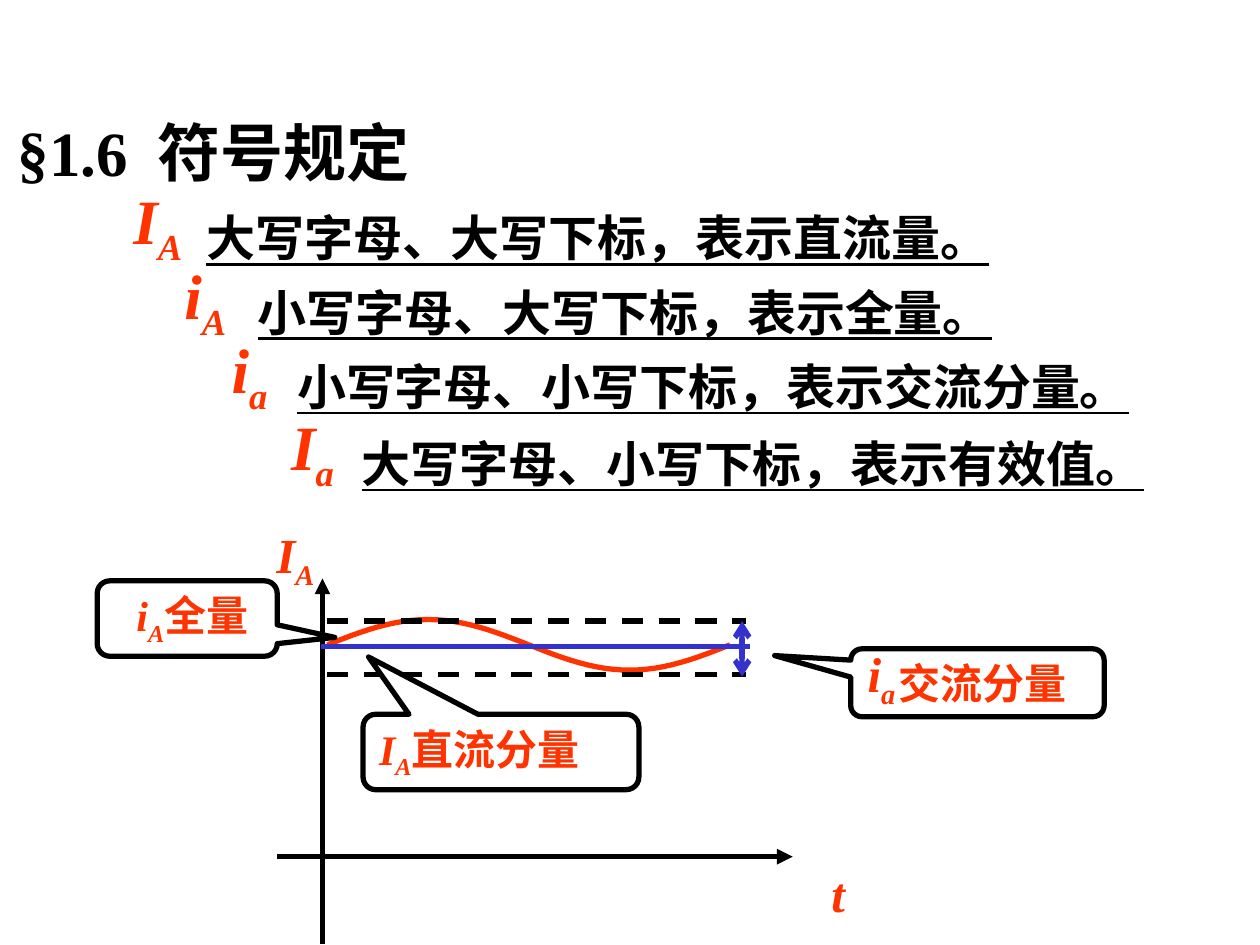
import math
from dataclasses import dataclass

import pptx
import pptx.util
from pptx.dml.color import RGBColor
from pptx.enum.dml import MSO_LINE
from pptx.enum.shapes import MSO_CONNECTOR, MSO_SHAPE
from pptx.enum.text import MSO_ANCHOR, MSO_AUTO_SIZE, PP_ALIGN
from pptx.oxml.ns import qn
from lxml import etree

Cm = pptx.util.Cm
Pt = pptx.util.Pt


@dataclass(frozen=True)
class Theme:
    font: str = "Times New Roman"
    ink: RGBColor = RGBColor(0x00, 0x00, 0x00)
    accent: RGBColor = RGBColor(0xFF, 0x33, 0x00)
    blue: RGBColor = RGBColor(0x33, 0x33, 0xCC)
    paper: RGBColor = RGBColor(0xFF, 0xFF, 0xFF)
    heading: int = 36
    body: int = 28
    callout: int = 24
    line: int = 3


THEME = Theme()


# Text helpers
def style_paragraph(paragraph, size, color, alignment=PP_ALIGN.LEFT):
    paragraph.alignment = alignment
    paragraph.font.name = THEME.font
    paragraph.font.size = Pt(size)
    paragraph.font.bold = True
    paragraph.font.color.rgb = color


def add_symbol(paragraph, letter, subscript):
    for text, baseline in ((letter, None), (subscript, "-25000")):
        if text:
            run = paragraph.add_run()
            run.text = text
            run.font.italic = True
            if baseline:
                run._r.get_or_add_rPr().set("baseline", baseline)


def add_text_box(slide, left, top, width, height, wrap):
    text_box = slide.shapes.add_textbox(Cm(left), Cm(top), Cm(width), Cm(height))
    frame = text_box.text_frame
    frame.word_wrap = wrap
    frame.vertical_anchor = MSO_ANCHOR.MIDDLE
    return frame.paragraphs[0]


def add_symbol_label(slide, left, top, width, height, letter, subscript, size):
    paragraph = add_text_box(slide, left, top, width, height, wrap=False)
    style_paragraph(paragraph, size, THEME.accent, PP_ALIGN.CENTER)
    add_symbol(paragraph, letter, subscript)


# Line helper
def add_line(slide, start, end, color, head=None, tail=None, dashed=False):
    connector = slide.shapes.add_connector(
        MSO_CONNECTOR.STRAIGHT, *(Cm(value) for value in (*start, *end)))
    connector.line.color.rgb = color
    connector.line.width = Pt(THEME.line)
    if dashed:
        connector.line.dash_style = MSO_LINE.DASH
    line_element = connector.line._get_or_add_ln()
    for tag, arrow in (("a:headEnd", head), ("a:tailEnd", tail)):
        if arrow:
            etree.SubElement(line_element, qn(tag)).set("type", arrow)
    etree.SubElement(connector._element.spPr, qn("a:effectLst"))


# Section heading
def build_title(slide, left, top, width, height):
    title = slide.shapes.title
    title.left, title.top, title.width, title.height = (
        Cm(value) for value in (left, top, width, height))
    frame = title.text_frame
    frame.auto_size = MSO_AUTO_SIZE.NONE
    frame.vertical_anchor = MSO_ANCHOR.TOP
    frame.text = "§1.6\t符号规定"
    paragraph = frame.paragraphs[0]
    paragraph.line_spacing = 0.6
    tab_list = etree.SubElement(paragraph._p.get_or_add_pPr(), qn("a:tabLst"))
    etree.SubElement(tab_list, qn("a:tab"), pos=str(Cm(2.82)), algn="l")
    style_paragraph(paragraph, THEME.heading, THEME.ink)


# One rule: symbol on the left, underlined meaning beside it
def build_rule(slide, left, top, letter, subscript, meaning, offset, width):
    add_symbol_label(slide, left, top, 2.54, 2.01, letter, subscript, THEME.heading)
    paragraph = add_text_box(slide, left + offset, top + 0.53, width, 1.45, wrap=True)
    paragraph.text = meaning
    style_paragraph(paragraph, THEME.body, THEME.ink)
    paragraph.font.underline = True


def build_wave(slide, left, middle, half_width, amplitude):
    steps = 24
    for half in range(2):
        points = [
            (Cm(left + half_width * step / steps),
             Cm(middle - amplitude * math.sin(math.pi * step / steps)))
            for step in range(half * steps, (half + 1) * steps + 1)
        ]
        builder = slide.shapes.build_freeform(*points[0])
        builder.add_line_segments(points[1:], close=False)
        wave = builder.convert_to_shape()
        wave.shadow.inherit = False
        wave.fill.background()
        wave.line.color.rgb = THEME.accent
        wave.line.width = Pt(THEME.line)


# Graph: axes, wave, limits and mean
def build_graph(slide, left, top, width, height):
    axis_x, axis_y = left + 0.91, top + 5.61
    wave_left, mean = left + 1.01, top + 1.37
    upper, lower = top + 0.86, top + 1.93
    span = left + 9.37

    add_line(slide, (left, axis_y), (left + width, axis_y), THEME.ink, tail="triangle")
    add_line(slide, (axis_x, top), (axis_x, top + height), THEME.ink, head="triangle")
    build_wave(slide, wave_left, top + 1.34, 4.06, 0.51)
    for limit in (upper, lower):
        add_line(slide, (wave_left, limit), (left + 9.45, limit), THEME.ink, dashed=True)
    add_line(slide, (left + 0.89, mean), (left + 9.52, mean), THEME.blue)
    add_line(slide, (span, upper), (span, top + 1.98), THEME.blue,
             head="arrow", tail="arrow")

    add_symbol_label(slide, left - 0.69, top - 1.22, 2.11, 1.6, "I", "A", THEME.body)
    add_symbol_label(slide, left + 10.92, axis_y, 0.74, 1.45, "t", "", THEME.body)


# Callout with an optional symbol before its name
def build_callout(slide, left, top, width, height, pointer, letter, subscript, name,
                  alignment=PP_ALIGN.CENTER, inset=0.46):
    callout = slide.shapes.add_shape(
        MSO_SHAPE.ROUNDED_RECTANGULAR_CALLOUT,
        Cm(left), Cm(top), Cm(width), Cm(height))
    callout.adjustments[0], callout.adjustments[1] = pointer
    callout.shadow.inherit = False
    callout.fill.solid()
    callout.fill.fore_color.rgb = THEME.paper
    callout.line.color.rgb = THEME.ink
    callout.line.width = Pt(THEME.line)
    frame = callout.text_frame
    frame.margin_left = Cm(inset)
    frame.vertical_anchor = MSO_ANCHOR.MIDDLE
    paragraph = frame.paragraphs[0]
    style_paragraph(paragraph, THEME.callout, THEME.accent, alignment)
    add_symbol(paragraph, letter, subscript)
    paragraph.add_run().text = name


def main():
    presentation = pptx.Presentation()
    presentation.slide_width, presentation.slide_height = Cm(25.4), Cm(19.05)
    slide = presentation.slides.add_slide(presentation.slide_layouts[5])

    build_title(slide, 0.1, 2.69, 12.98, 1.17)
    rules = (
        (1.91, 3.53, "I", "A", "大写字母、大写下标，表示直流量。", 2.0, 16.92),
        (2.87, 5.03, "i", "A", "小写字母、大写下标，表示全量。", 2.08, 15.39),
        (3.76, 6.53, "i", "a", "小写字母、小写下标，表示交流分量。", 1.98, 18.11),
        (5.03, 8.08, "I", "a", "大写字母、小写下标，表示有效值。", 2.01, 16.92),
    )
    for rule in rules:
        build_rule(slide, *rule)

    build_graph(slide, 5.59, 11.66, 10.39, 7.36)
    build_callout(slide, 17.15, 13.08, 5.11, 1.37, (-0.8, -0.4), "", "", "交流分量")
    add_symbol_label(slide, 16.74, 12.85, 2.06, 1.6, "i", "a", THEME.body)
    build_callout(slide, 1.96, 11.71, 3.63, 1.52, (0.82, 0.25), "i", "A", "全量")
    build_callout(slide, 7.32, 14.4, 5.56, 1.52, (-0.48, -1.26), "I", "A", "直流分量",
                  PP_ALIGN.LEFT, 0.25)

    presentation.save("out.pptx")


if __name__ == "__main__":
    main()
